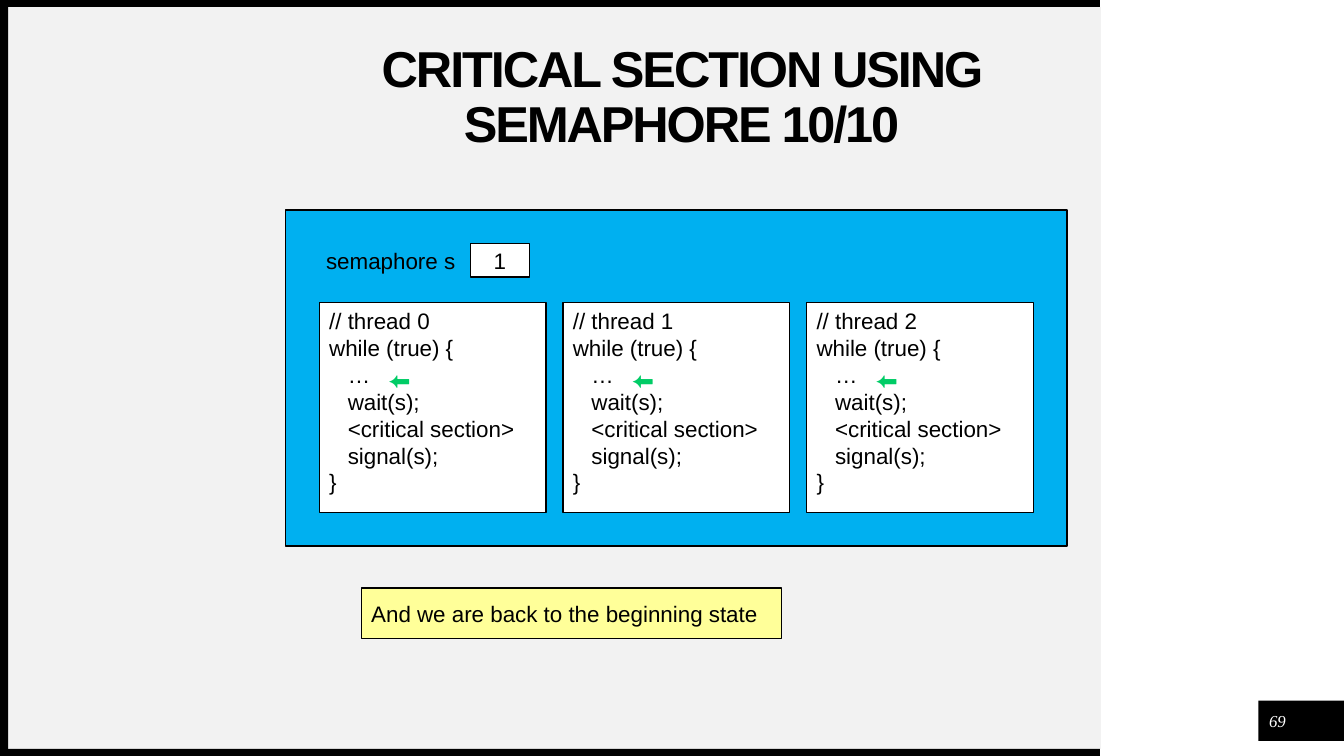
from pptx import Presentation
from pptx import util as u
from pptx.dml.color import RGBColor
from pptx.enum import shapes, text

COLORS = {"black": "000000", "white": "FFFFFF", "panel": "F2F2F2",
          "blue": "00B0F0", "yellow": "FFFF99", "green": "00CC66"}
CELL = 1 / 12  # grid unit in inches
THREAD_STEP = 29  # columns from one thread to the next
CODE = """// thread {}
while (true) {{
   …
   wait(s);
   <critical section>
   signal(s);
}}"""


def add_box(left, top, width, height, fill, outlined=True):
    sp = s.shapes.add_shape(shapes.MSO_SHAPE.RECTANGLE,
                            *map(u.Inches, (left, top, width, height)))
    sp.shadow.inherit = False
    sp.fill.solid()
    sp.fill.fore_color.rgb = RGBColor.from_string(COLORS[fill])
    if outlined:
        sp.line.color.rgb = RGBColor.from_string(COLORS["black"])
        sp.line.width = u.Pt(1)
    else:
        sp.line.fill.background()
    return sp


def write(sp, words, color="black", size=16, font="Arial", wrap=True,
          align=text.PP_ALIGN.LEFT, anchor=text.MSO_ANCHOR.MIDDLE):
    tf = sp.text_frame
    tf.word_wrap = wrap
    tf.vertical_anchor = anchor
    p = tf.paragraphs[0]
    p.text = words
    p.alignment = align
    p.font.size = u.Pt(size)
    p.font.name = font
    p.font.color.rgb = RGBColor.from_string(COLORS[color])
    return p


prs = Presentation()
prs.slide_width, prs.slide_height = u.Inches(13.33), u.Inches(7.5)
s = prs.slides.add_slide(prs.slide_layouts[5])
center, top = text.PP_ALIGN.CENTER, text.MSO_ANCHOR.TOP

# Frame
for *place, fill in [(0.08, 0.07, 10.84, 7.36, "panel"),
                     (12.48, 6.95, 0.86, 0.4, "black"),
                     (0, 7.43, 10.91, 0.07, "black"),
                     (0, 0, 10.91, 0.07, "black"),
                     (0, 0.03, 0.08, 7.47, "black")]:
    add_box(*place, fill, outlined=False)

# Title, brought in front of the frame
title = s.shapes.title
s.shapes.element.append(title.element)
title.left, title.top, title.width, title.height = map(
    u.Inches, (2.5, 0.5, 8.52, 0.96))
p = write(title, "CRITICAL SECTION USING SEMAPHORE 10/10", size=36, align=center)
p.font.bold = True
p.line_spacing = 0.9
p.runs[0].font._element.set("spc", "-150")

# Semaphore
add_box(34 * CELL, 25 * CELL, 93 * CELL, 40 * CELL, "blue")
label = s.shapes.add_textbox(*map(u.Inches, (37 * CELL, 29 * CELL, 19 * CELL, 4 * CELL)))
write(label, "semaphore s", align=center)
value = add_box(56 * CELL, 29 * CELL, 7 * CELL, 4 * CELL, "white")
write(value, "1", align=center)

# Threads, each with an arrow at its current line
for i in range(3):
    col = 38 + i * THREAD_STEP
    code = add_box(col * CELL, 36 * CELL, 27 * CELL, 25 * CELL, "white")
    write(code, CODE.format(i).replace("\n", "\v"), anchor=top)
    arrow = s.shapes.add_textbox(
        *map(u.Inches, ((col + 7) * CELL, 43 * CELL, 4 * CELL, 4 * CELL)))
    write(arrow, "⬅", "green", wrap=False, anchor=top)

note = add_box(43 * CELL, 70 * CELL, 50 * CELL, 6 * CELL, "yellow")
write(note, "And we are back to the beginning state")

number = s.shapes.add_textbox(*map(u.Inches, (12.52, 7, 0.3, 0.3)))
write(number, "69", "white", 12, "Times New Roman", align=center).font.italic = True

for sp in (title, number):
    tf = sp.text_frame
    tf.margin_left = tf.margin_right = tf.margin_top = tf.margin_bottom = 0

prs.save("out.pptx")
